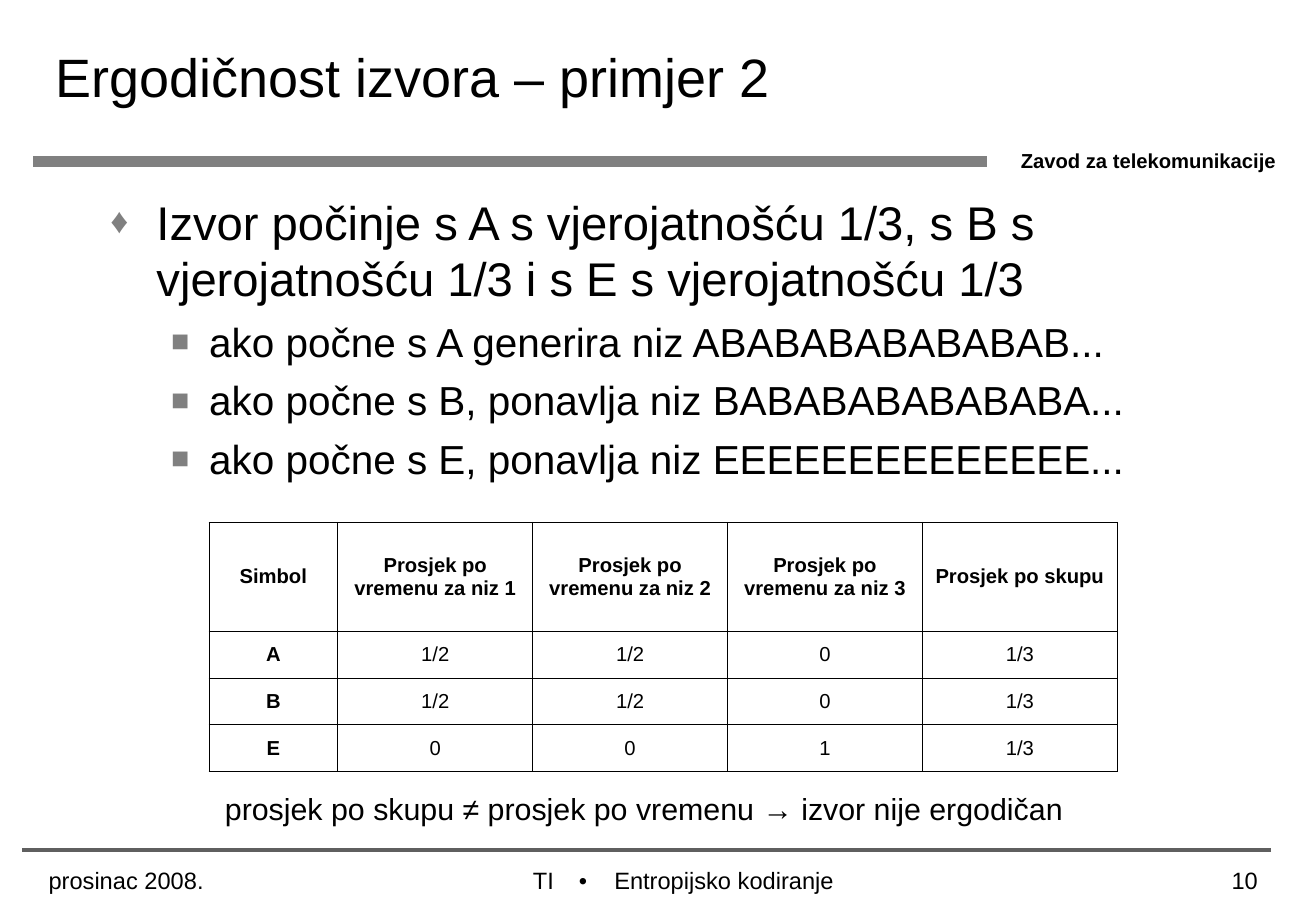
import dataclasses
import typing

import lxml.etree
import pptx
import pptx.dml.color
import pptx.enum.shapes
import pptx.enum.text
import pptx.oxml
import pptx.oxml.ns
import pptx.util

ANCHOR = pptx.enum.text.MSO_ANCHOR
ALIGN = pptx.enum.text.PP_ALIGN
AUTO_SIZE = pptx.enum.text.MSO_AUTO_SIZE
BLACK = pptx.dml.color.RGBColor(0x00, 0x00, 0x00)
GRAY = pptx.dml.color.RGBColor(0x80, 0x80, 0x80)
DARK_GRAY = pptx.dml.color.RGBColor(0x5F, 0x5F, 0x5F)
FONT_NAME = "Arial"
SLIDE_WIDTH = pptx.util.Inches(10.84)
SLIDE_HEIGHT = pptx.util.Inches(7.5)
BORDER_WIDTH = pptx.util.Pt(0.45)
FOOTER_TOP = 94.4


def across(percent: float) -> int:
    return round(SLIDE_WIDTH * percent / 100)


def down(percent: float) -> int:
    return round(SLIDE_HEIGHT * percent / 100)


@dataclasses.dataclass(frozen=True)
class Area:
    left: float
    top: float
    width: float
    height: float

    def lengths(self) -> tuple[int, int, int, int]:
        return across(self.left), down(self.top), across(self.width), down(self.height)


@dataclasses.dataclass(frozen=True)
class Rule:
    left: float
    right: float
    top: float
    color: pptx.dml.color.RGBColor
    points: float


@dataclasses.dataclass(frozen=True)
class Bullet:
    symbol: str
    indent: float
    hanging: float


@dataclasses.dataclass(frozen=True)
class Line:
    text: str
    size: float
    bold: bool = False
    alignment: ALIGN = ALIGN.LEFT
    space_before: float = 0
    line_spacing: float = 1.0
    level: int = 0
    bullet: typing.Optional[Bullet] = None
    tabs: tuple[float, ...] = ()


@dataclasses.dataclass(frozen=True)
class Label:
    area: Area
    lines: tuple[Line, ...]
    wrap: bool = True
    auto_size: AUTO_SIZE = AUTO_SIZE.NONE
    left_inset: float = 0.92


DIAMOND = Bullet("♦", 3.5, 3.5)
SQUARE = Bullet("■", 7.5, 2.88)
SEQUENCES = (
    "ako počne s A generira niz ABABABABABABAB...",
    "ako počne s B, ponavlja niz BABABABABABABA...",
    "ako počne s E, ponavlja niz EEEEEEEEEEEEEE...",
)
TITLE_AREA = Area(3.32, 0, 84.96, 16.67)
TITLE = Line("Ergodičnost izvora – primjer 2", 32)
RULES = (
    Rule(2.49, 75, 17.73, GRAY, 6),
    Rule(1.66, 96.59, 93.33, DARK_GRAY, 2.25),
)
LABELS = (
    Label(Area(76.66, 15.6, 23.34, 4), (Line("Zavod za telekomunikacije", 12, bold=True),)),
    Label(
        Area(7.47, 20.53, 84.96, 70.4),
        (
            Line("Izvor počinje s A s vjerojatnošću 1/3, s B s vjerojatnošću 1/3 "
                 "i s E s vjerojatnošću 1/3", 28, bullet=DIAMOND),
            *(Line(text, 24, space_before=6, level=1, bullet=SQUARE) for text in SEQUENCES),
        ),
    ),
    Label(
        Area(15.18, 86.8, 67.5, 4.53),
        (Line("prosjek po skupu ≠ prosjek po vremenu → izvor nije ergodičan", 18,
              alignment=ALIGN.CENTER, line_spacing=0.8),),
        wrap=False,
        auto_size=AUTO_SIZE.SHAPE_TO_FIT_TEXT,
    ),
    Label(
        Area(23.06, FOOTER_TOP, 57.66, 3.33),
        (Line("TI\t•\tEntropijsko kodiranje", 14, tabs=(3.5, 6.18)),),
        left_inset=17.44,
    ),
    Label(Area(83.86, FOOTER_TOP, 12.64, 5.6), (Line("10", 14, alignment=ALIGN.RIGHT),)),
    Label(Area(2.77, FOOTER_TOP, 17.99, 5.6), (Line("prosinac 2008.", 14),)),
)
TABLE_LEFT, TABLE_TOP = 15.87, 57.33
COLUMN_WIDTHS = (9.8, *[14.81] * 4)
ROW_HEIGHTS = (11.97, *[5.13] * 3)
AVERAGES = (
    ("Simbol", *(f"Prosjek po vremenu za niz {number}" for number in (1, 2, 3)),
     "Prosjek po skupu"),
    ("A", "1/2", "1/2", "0", "1/3"),
    ("B", "1/2", "1/2", "0", "1/3"),
    ("E", "0", "0", "1", "1/3"),
)


def apply_format(target: typing.Any, values: dict[str, typing.Any]) -> None:
    for name, value in values.items():
        setattr(target, name, value)


def add_element(parent: typing.Any, tag: str, **attributes: typing.Any) -> typing.Any:
    element = lxml.etree.SubElement(parent, pptx.oxml.ns.qn(tag))
    for name, value in attributes.items():
        element.set(name, str(value))
    return element


def write_line(paragraph: typing.Any, line: Line) -> None:
    apply_format(paragraph, {
        "alignment": line.alignment,
        "level": line.level,
        "line_spacing": line.line_spacing,
        "space_before": pptx.util.Pt(line.space_before),
    })
    properties = paragraph._p.get_or_add_pPr()
    if line.bullet:
        properties.set("marL", str(across(line.bullet.indent)))
        properties.set("indent", str(-across(line.bullet.hanging)))
        color = add_element(properties, "a:buClr")
        add_element(color, "a:srgbClr", val=GRAY)
        add_element(properties, "a:buSzPct", val=75000)
        add_element(properties, "a:buFont", typeface=FONT_NAME)
        add_element(properties, "a:buChar", char=line.bullet.symbol)
    if line.tabs:
        tab_list = add_element(properties, "a:tabLst")
        for position in line.tabs:
            add_element(tab_list, "a:tab", pos=across(position), algn="l")
    run = paragraph.add_run()
    run.text = line.text
    apply_format(run.font, {
        "name": FONT_NAME, "size": pptx.util.Pt(line.size), "bold": line.bold,
    })
    run.font.color.rgb = BLACK


def place_title(slide: typing.Any) -> None:
    title = slide.shapes.title
    apply_format(title, dict(zip(("left", "top", "width", "height"), TITLE_AREA.lengths())))
    apply_format(title.text_frame, {
        "vertical_anchor": ANCHOR.MIDDLE, "auto_size": AUTO_SIZE.NONE,
    })
    write_line(title.text_frame.paragraphs[0], TITLE)


def draw_rule(slide: typing.Any, rule: Rule) -> None:
    height = down(rule.top)
    connector = slide.shapes.add_connector(
        pptx.enum.shapes.MSO_CONNECTOR.STRAIGHT,
        across(rule.right), height, across(rule.left), height)
    connector.line.color.rgb = rule.color
    connector.line.width = pptx.util.Pt(rule.points)
    add_element(connector._element.spPr, "a:effectLst")


def draw_label(slide: typing.Any, label: Label) -> None:
    frame = slide.shapes.add_textbox(*label.area.lengths()).text_frame
    apply_format(frame, {
        "word_wrap": label.wrap,
        "auto_size": label.auto_size,
        "margin_left": across(label.left_inset),
    })
    for index, line in enumerate(label.lines):
        write_line(frame.add_paragraph() if index else frame.paragraphs[0], line)


def draw_borders(cell: typing.Any) -> None:
    properties = cell._tc.get_or_add_tcPr()
    for side in ("a:lnL", "a:lnR", "a:lnT", "a:lnB"):
        border = add_element(properties, side, w=BORDER_WIDTH)
        add_element(add_element(border, "a:solidFill"), "a:srgbClr", val=BLACK)


def draw_table(slide: typing.Any) -> None:
    area = Area(TABLE_LEFT, TABLE_TOP, sum(COLUMN_WIDTHS), sum(ROW_HEIGHTS))
    table = slide.shapes.add_table(
        len(ROW_HEIGHTS), len(COLUMN_WIDTHS), *area.lengths()).table
    apply_format(table, {"first_row": False, "horz_banding": False})
    for column, width in zip(table.columns, COLUMN_WIDTHS):
        column.width = across(width)
    for row_index, (row, height) in enumerate(zip(table.rows, ROW_HEIGHTS)):
        row.height = down(height)
        for column_index, cell in enumerate(row.cells):
            cell.vertical_anchor = ANCHOR.MIDDLE
            draw_borders(cell)
            cell.fill.background()
            write_line(cell.text_frame.paragraphs[0], Line(
                AVERAGES[row_index][column_index], 12,
                bold=row_index == 0 or column_index == 0, alignment=ALIGN.CENTER))


def main() -> None:
    presentation = pptx.Presentation()
    apply_format(presentation, {"slide_width": SLIDE_WIDTH, "slide_height": SLIDE_HEIGHT})
    slide = presentation.slides.add_slide(presentation.slide_layouts.get_by_name("Title Only"))
    place_title(slide)
    for rule in RULES:
        draw_rule(slide, rule)
    for label in LABELS:
        draw_label(slide, label)
    draw_table(slide)
    presentation.save("out.pptx")


if __name__ == "__main__":
    main()
